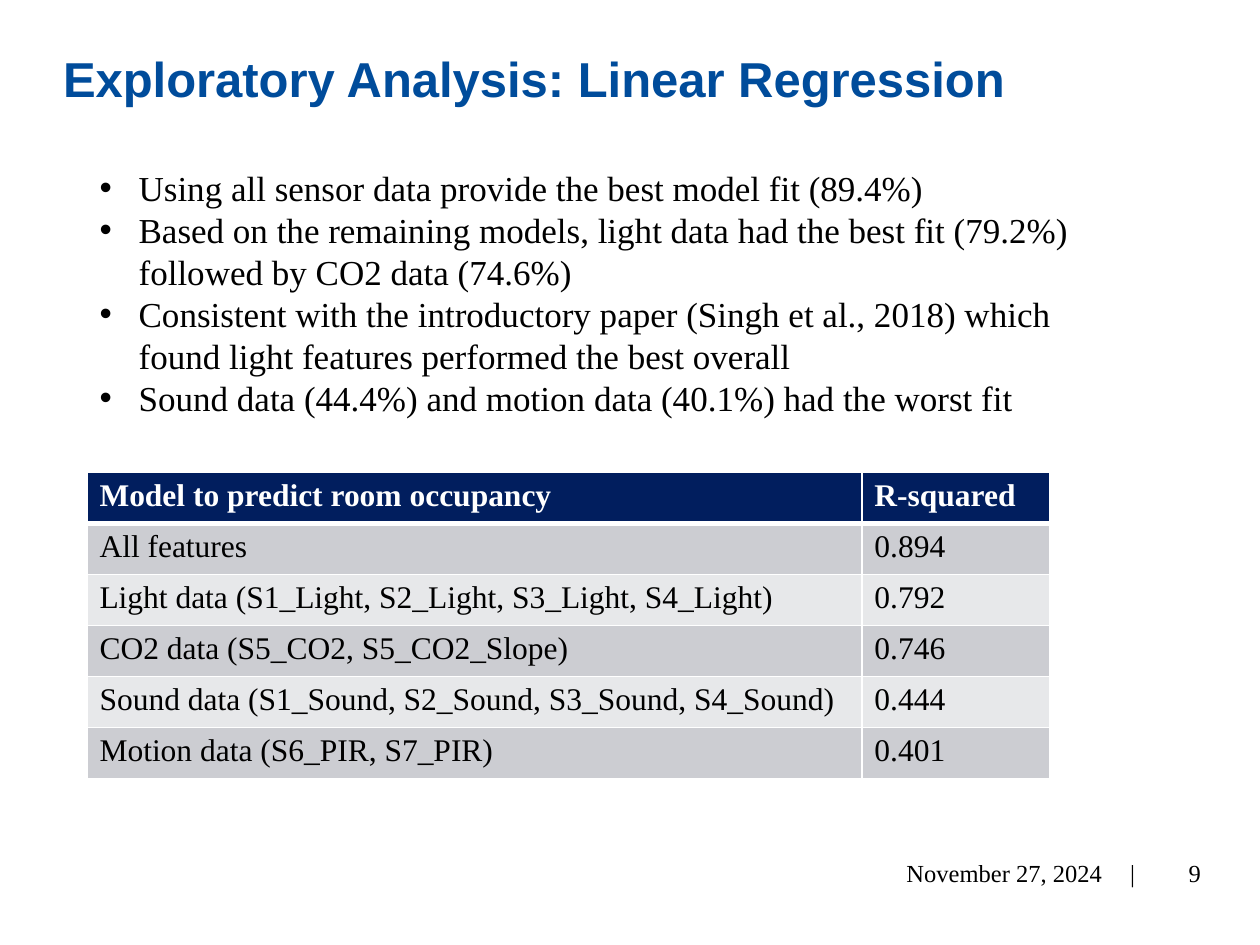
import pptx
import pptx.dml.color
import pptx.enum.text
import pptx.oxml.ns
import pptx.util
from dataclasses import dataclass
from lxml import etree

ALIGN = pptx.enum.text.PP_ALIGN
ANCHOR = pptx.enum.text.MSO_ANCHOR


@dataclass(frozen=True)
class Theme:
    heading_font: str = "Arial"
    text_font: str = "Times New Roman"
    heading: str = "004C9B"
    ink: str = "000000"
    paper: str = "FFFFFF"
    header: str = "011E5E"
    bands: tuple = ("CCCDD2", "E7E8EA")
    title_size: float = 28
    title_leading: float = 26.6
    list_size: float = 20
    list_leading: float = 24
    table_size: float = 18
    footer_size: float = 14
    rule: float = 1
    header_rule: float = 3


class Deck:
    COLUMNS, ROWS = 100, 75

    def __init__(self, theme):
        self.theme = theme
        self.presentation = pptx.Presentation()
        self.presentation.slide_width = pptx.util.Inches(10)
        self.presentation.slide_height = pptx.util.Inches(7.5)
        self.slide = None

    def add_slide(self):
        layout = self.presentation.slide_layouts[1]
        self.slide = self.presentation.slides.add_slide(layout)

    def across(self, columns):
        return round(self.presentation.slide_width * columns / self.COLUMNS)

    def down(self, rows):
        return round(self.presentation.slide_height * rows / self.ROWS)

    def box(self, left, top, width, height):
        return self.across(left), self.down(top), self.across(width), self.down(height)

    def place(self, placeholder, area):
        (placeholder.left, placeholder.top,
         placeholder.width, placeholder.height) = self.box(*area)
        frame = placeholder.text_frame
        frame.auto_size = pptx.enum.text.MSO_AUTO_SIZE.NONE
        frame.vertical_anchor = ANCHOR.TOP
        return frame

    def style(self, paragraph, size, color, bold=False, font=None):
        paragraph.font.name = font or self.theme.text_font
        paragraph.font.size = pptx.util.Pt(size)
        paragraph.font.bold = bold
        paragraph.font.color.rgb = pptx.dml.color.RGBColor.from_string(color)

    def sub(self, parent, tag, **attributes):
        return etree.SubElement(parent, pptx.oxml.ns.qn(tag), **attributes)

    def title(self, text, area):
        theme = self.theme
        frame = self.place(self.slide.shapes.title, area)
        frame.text = text
        heading = frame.paragraphs[0]
        heading.alignment = ALIGN.LEFT
        heading.line_spacing = pptx.util.Pt(theme.title_leading)
        self.style(heading, theme.title_size, theme.heading, True, theme.heading_font)

    def bullets(self, points, area, indent):
        theme = self.theme
        frame = self.place(self.slide.placeholders[1], area)
        frame.text = "\n".join(points)
        for point in frame.paragraphs:
            properties = point._p.get_or_add_pPr()
            properties.set("marL", str(self.across(indent)))
            properties.set("indent", str(-self.across(indent)))
            self.sub(properties, "a:buFont", typeface="Arial")
            self.sub(properties, "a:buChar", char="•")
            point.space_before = pptx.util.Pt(0)
            point.line_spacing = pptx.util.Pt(theme.list_leading)
            self.style(point, theme.list_size, theme.ink)

    def footer(self, text, area, tabs=()):
        frame = self.slide.shapes.add_textbox(*self.box(*area)).text_frame
        frame.word_wrap = True
        frame.vertical_anchor = ANCHOR.MIDDLE
        frame.text = text
        line = frame.paragraphs[0]
        line.alignment = ALIGN.LEFT if tabs else ALIGN.RIGHT
        if tabs:
            stops = self.sub(line._p.get_or_add_pPr(), "a:tabLst")
            for stop in tabs:
                self.sub(stops, "a:tab", pos=str(self.across(stop)), algn="r")
        self.style(line, self.theme.footer_size, self.theme.ink)

    def borders(self, cell, above, below):
        properties = cell._tc.get_or_add_tcPr()
        side = self.theme.rule
        for tag, weight in (("a:lnL", side), ("a:lnR", side),
                            ("a:lnT", above), ("a:lnB", below)):
            edge = self.sub(properties, tag, w=str(pptx.util.Pt(weight)))
            self.sub(self.sub(edge, "a:solidFill"), "a:srgbClr", val=self.theme.paper)

    def table(self, records, left, top, widths, row_height):
        theme = self.theme
        area = self.box(left, top, sum(widths), row_height * len(records))
        grid = self.slide.shapes.add_table(len(records), len(widths), *area).table
        for column, width in zip(grid.columns, widths):
            column.width = self.across(width)
        for index, record in enumerate(records):
            is_header = index == 0
            fill = theme.header if is_header else theme.bands[(index - 1) % 2]
            above = theme.header_rule if index == 1 else theme.rule
            below = theme.header_rule if is_header else theme.rule
            for position, text in enumerate(record):
                cell = grid.cell(index, position)
                cell.text = text
                self.borders(cell, above, below)
                cell.fill.solid()
                cell.fill.fore_color.rgb = pptx.dml.color.RGBColor.from_string(fill)
                self.style(cell.text_frame.paragraphs[0], theme.table_size,
                           theme.paper if is_header else theme.ink, is_header)


def main():
    findings = [
        "Using all sensor data provide the best model fit (89.4%)",
        "Based on the remaining models, light data had the best fit (79.2%) "
        "followed by CO2 data (74.6%)",
        "Consistent with the introductory paper (Singh et al., 2018) which "
        "found light features performed the best overall",
        "Sound data (44.4%) and motion data (40.1%) had the worst fit",
    ]
    model_fits = [
        ("Model to predict room occupancy", "R-squared"),
        ("All features", "0.894"),
        ("Light data (S1_Light, S2_Light, S3_Light, S4_Light)", "0.792"),
        ("CO2 data (S5_CO2, S5_CO2_Slope)", "0.746"),
        ("Sound data (S1_Sound, S2_Sound, S3_Sound, S4_Sound)", "0.444"),
        ("Motion data (S6_PIR, S7_PIR)", "0.401"),
    ]

    deck = Deck(Theme())
    deck.add_slide()
    deck.title("Exploratory Analysis: Linear Regression", (4, 4.3, 92.4, 11.7))
    deck.footer("\tNovember 27, 2024\t|", (64.2, 67.3, 27.1, 4), tabs=(22.3, 24.9))
    deck.footer("9", (89.1, 67.3, 7.2, 4))
    deck.table(model_fits, 6.9, 37.5, (61.5, 14.9), 4.05)
    deck.bullets(findings, (6.9, 12.7, 82.2, 21.2), 3.1)
    deck.presentation.save("out.pptx")


if __name__ == "__main__":
    main()
